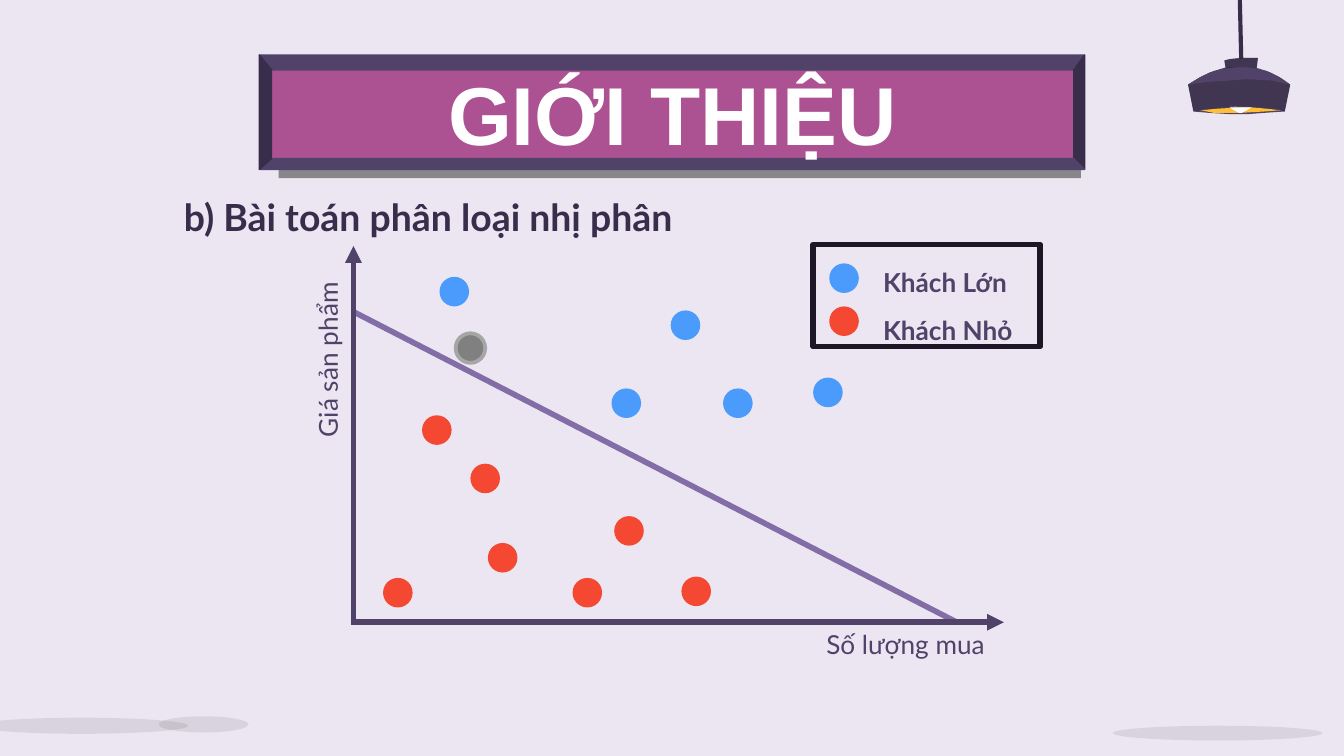
from lxml import etree
from pptx import Presentation
from pptx.dml.color import RGBColor
from pptx.enum.shapes import MSO_CONNECTOR, MSO_SHAPE
from pptx.enum.text import MSO_ANCHOR, PP_ALIGN
from pptx.oxml.ns import qn
from pptx.util import Pt

PX = 9144
SLIDE_WIDTH = 1000 * PX
SLIDE_HEIGHT = SLIDE_WIDTH * 9 // 16
STRAIGHT = MSO_CONNECTOR.STRAIGHT
ELLIPSE, RECTANGLE = MSO_SHAPE.OVAL, MSO_SHAPE.RECTANGLE
TOP, MIDDLE = MSO_ANCHOR.TOP, MSO_ANCHOR.MIDDLE
LEFT, CENTER = PP_ALIGN.LEFT, PP_ALIGN.CENTER

BACKGROUND = RGBColor(0xEB, 0xE6, 0xF1)
PURPLE = RGBColor(0x50, 0x42, 0x68)
DARK = RGBColor(0x38, 0x2D, 0x4B)
MAGENTA = RGBColor(0xAC, 0x51, 0x91)
BOUNDARY = RGBColor(0x82, 0x6D, 0xA7)
FRAME = RGBColor(0x1C, 0x16, 0x26)
SHADE = RGBColor(0x19, 0x19, 0x19)
YELLOW = RGBColor(0xFF, 0xBE, 0x34)
RED = RGBColor(0xF4, 0x48, 0x33)
BLUE = RGBColor(0x4B, 0x9B, 0xFC)
GRAY = RGBColor(0x80, 0x80, 0x80)
LIGHT_GRAY = RGBColor(0xA6, 0xA6, 0xA6)
WHITE = RGBColor(0xFF, 0xFF, 0xFF)
BLACK = RGBColor(0, 0, 0)

TITLE = "GIỚI THIỆU"
HEADING = "b) Bài toán phân loại nhị phân"
X_LABEL, Y_LABEL = "Số lượng mua", "Giá sản phẩm"
LEGEND = [("Khách Lớn", BLUE), ("Khách Nhỏ", RED)]

DOT = 22
SMALL_CUSTOMERS = [(314, 309), (350, 345), (457, 384), (363, 404),
                   (285, 430), (426, 430), (507, 429)]
LARGE_CUSTOMERS = [(327, 206), (455, 289), (538, 289), (499, 231), (605, 281)]
NEW_CUSTOMER = (339, 248)

LAMP_BODY = [(919, 50), (913, 50), (903, 53), (894, 57), (884, 63), (888, 83),
             (896, 82), (909, 80), (922, 79), (937, 80), (951, 82), (956, 83),
             (960, 63), (953, 58), (945, 54), (935, 51), (925, 50)]
LAMP_RIM = [(922, 79), (903, 80), (888, 83), (899, 84), (916, 85), (928, 85),
            (941, 84), (956, 83), (945, 81), (933, 79)]
LAMP_GLOW = [(922, 80), (905, 81), (893, 82), (903, 84), (923, 84), (941, 83),
             (953, 82), (943, 81), (932, 80)]
LAMP_CAP = [(924, 43), (915, 44), (911, 45), (912, 51), (920, 50), (928, 50),
            (935, 51), (936, 43)]
LAMP_CORD = [(922, 0), (923, 43), (924, 43), (923, 0)]
LAMP_BULB = [(915, 80), (918, 82), (922, 84), (924, 84), (928, 82), (931, 80)]
LAMP_CROWN = [(921, 50), (911, 51), (900, 54), (892, 58), (884, 63), (899, 61),
              (915, 60), (927, 59), (946, 60), (960, 63), (951, 57), (943, 53),
              (933, 50)]
LAMP = [(LAMP_BODY, PURPLE, 100, 0), (LAMP_RIM, PURPLE, 100, 0),
        (LAMP_GLOW, YELLOW, 100, 0), (LAMP_CAP, PURPLE, 100, 0),
        (LAMP_CORD, DARK, 100, 1.5), (LAMP_BULB, WHITE, 100, 0),
        (LAMP_BODY, SHADE, 27, 0), (LAMP_CROWN, PURPLE, 100, 0),
        (LAMP_CAP, SHADE, 27, 0)]
FLOOR_SHADOWS = [(-18, 534, 158, 12), (828, 540, 156, 11), (118, 533, 67, 12)]

OUTER = [(193, 41), (807, 41), (807, 126), (193, 126)]
INNER = [(202, 52), (799, 52), (799, 118), (202, 118)]
BEVEL_COLORS = [PURPLE, DARK, PURPLE, DARK]

presentation = Presentation()
presentation.slide_width, presentation.slide_height = SLIDE_WIDTH, SLIDE_HEIGHT
slide = presentation.slides.add_slide(presentation.slide_layouts[5])
slide.background.fill.solid()
slide.background.fill.fore_color.rgb = BACKGROUND


def scaled(*lengths):
    return [length * PX for length in lengths]


def set_alpha(color_element, percent):
    etree.SubElement(color_element, qn("a:alpha"), val=str(percent * 1000))


def paint(shape, color=None, opacity=100, line_color=None, line_width=0):
    shape.shadow.inherit = False
    if color is None:
        shape.fill.background()
    else:
        shape.fill.solid()
        shape.fill.fore_color.rgb = color
        if opacity < 100:
            set_alpha(shape.element.spPr.find(qn("a:solidFill"))[0], opacity)
    if line_width:
        shape.line.color.rgb = line_color or color
        shape.line.width = Pt(line_width)
    else:
        shape.line.fill.background()
    return shape


def add_polygon(points, color, opacity=100, line_width=0):
    builder = slide.shapes.build_freeform(*points[0], scale=PX)
    builder.add_line_segments(points[1:], close=True)
    return paint(builder.convert_to_shape(), color, opacity, None, line_width)


def add_shape(kind, box, *style):
    return paint(slide.shapes.add_shape(kind, *scaled(*box)), *style)


def add_dot(position, *style):
    add_shape(ELLIPSE, (*position, DOT, DOT), *style)


def add_line(start, end, color, arrow=False):
    line = slide.shapes.add_connector(STRAIGHT, *scaled(*start, *end))
    line.line.color.rgb = color
    line.line.width = Pt(3)
    properties = line.element.spPr
    if arrow:
        etree.SubElement(properties.find(qn("a:ln")), qn("a:tailEnd"), type="triangle")
    etree.SubElement(properties, qn("a:effectLst"))


def format_text(shape, text, size, color, bold=False, font="Lato", inset=(10, 5),
                anchor=TOP, wrap=True):
    frame = shape.text_frame
    frame.text = text
    frame.word_wrap = wrap
    frame.vertical_anchor = anchor
    frame.margin_left = frame.margin_right = inset[0] * PX
    frame.margin_top = frame.margin_bottom = inset[1] * PX
    for paragraph in frame.paragraphs:
        for run in paragraph.runs:
            run.font.name, run.font.size, run.font.bold = font, Pt(size), bold
            run.font.color.rgb = color
    return frame


def add_label(text, box, *style, **options):
    label = slide.shapes.add_textbox(*scaled(*box))
    format_text(label, text, *style, **options)
    return label


for points, color, opacity, line_width in LAMP:
    add_polygon(points, color, opacity, line_width)
for box in FLOOR_SHADOWS:
    add_shape(ELLIPSE, box, BLACK, 8)

panel = add_polygon(INNER, MAGENTA)
shadow = etree.SubElement(panel.element.spPr.find(qn("a:effectLst")), qn("a:outerShdw"),
                          blurRad="0", dist=str(Pt(11.2)), dir=str(70 * 60000),
                          algn="bl", rotWithShape="0")
set_alpha(etree.SubElement(shadow, qn("a:srgbClr"), val=str(BLACK)), 41)
for side, color in enumerate(BEVEL_COLORS):
    following = (side + 1) % 4
    add_polygon([OUTER[side], OUTER[following], INNER[following], INNER[side]],
                color, line_width=0.75)

add_label(HEADING, (127, 126, 513, 71), 20, DARK, True, inset=(10, 10), anchor=MIDDLE)
title = slide.shapes.title
title.left, title.top, title.width, title.height = scaled(79, 59, 843, 50)
title_frame = format_text(title, TITLE, 44, WHITE, True, "Arial", (10, 10), MIDDLE)
title_frame.paragraphs[0].alignment = CENTER
title.element.getparent().append(title.element)

add_line((263, 232), (712, 463), BOUNDARY)
add_line((263, 464), (263, 183), PURPLE, arrow=True)
add_line((261, 463), (747, 463), PURPLE, arrow=True)
for positions, color in ((SMALL_CUSTOMERS, RED), (LARGE_CUSTOMERS, BLUE)):
    for position in positions:
        add_dot(position, color)
add_dot(NEW_CUSTOMER, GRAY, 100, LIGHT_GRAY, 2)

legend = add_shape(RECTANGLE, (605, 182, 169, 76), None, 100, FRAME, 3)
legend_frame = format_text(legend, "\n".join(name for name, _ in LEGEND), 14, PURPLE, True)
legend_frame.margin_left = 52 * PX
for paragraph in legend_frame.paragraphs:
    paragraph.alignment = LEFT
    paragraph.line_spacing = 1.5
for row, (_, color) in enumerate(LEGEND):
    add_dot((617, 196 + 32 * row), color)

add_label(X_LABEL, (605, 463, 145, 34), 14, PURPLE, wrap=False)
y_label = add_label(Y_LABEL, (171, 245, 146, 34), 14, PURPLE, wrap=False)
y_label.rotation = 270

presentation.save("out.pptx")
